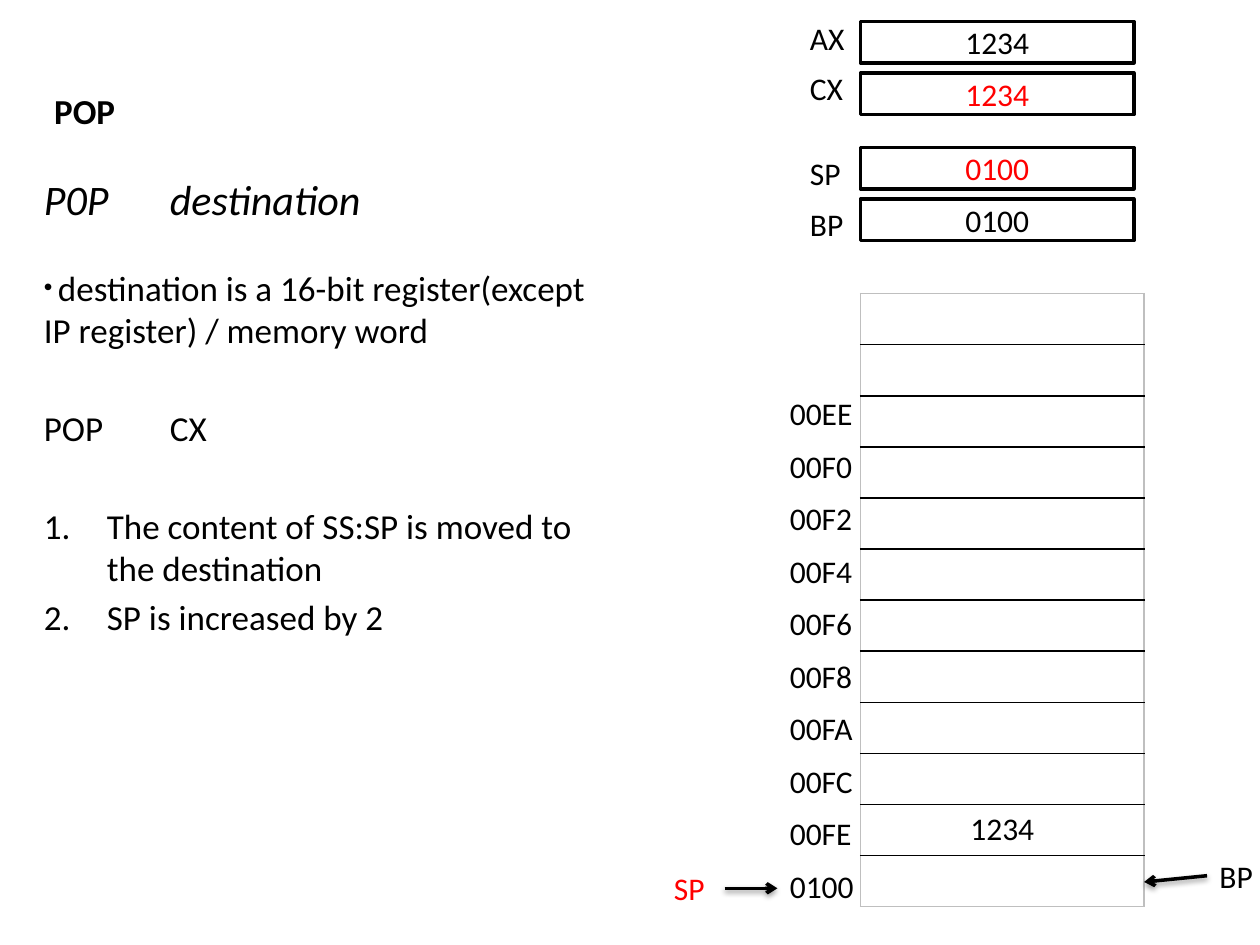
from lxml import etree
from pptx import Presentation
from pptx.dml.color import RGBColor
from pptx.enum.shapes import MSO_CONNECTOR, MSO_SHAPE
from pptx.enum.text import MSO_ANCHOR, PP_ALIGN
from pptx.oxml.ns import qn
from pptx.util import Inches, Pt

BLACK = RGBColor(0, 0, 0)
RED = RGBColor(255, 0, 0)
WHITE = RGBColor(255, 255, 255)
GREY = RGBColor(0xBF, 0xBF, 0xBF)
LEFT, CENTER = PP_ALIGN.LEFT, PP_ALIGN.CENTER
MIDDLE, BOTTOM = MSO_ANCHOR.MIDDLE, MSO_ANCHOR.BOTTOM
RECT, STRAIGHT = MSO_SHAPE.RECTANGLE, MSO_CONNECTOR.STRAIGHT
FONT = "Calibri"

# Content: registers as name, value, value colour, box top, label top
REGISTERS = [
    ("AX", "1234", BLACK, 0.17, 0.10),
    ("CX", "1234", RED, 0.58, 0.50),
    ("SP", "0100", RED, 1.17, 1.17),
    ("BP", "0100", BLACK, 1.58, 1.58),
]
ADDRESSES = ["00EE", "00F0", "00F2", "00F4", "00F6",
             "00F8", "00FA", "00FC", "00FE", "0100"]
STACK = [""] * 10 + ["1234", ""]
# Pointers as name, colour, label left and top, arrow start and end
POINTERS = [
    ("SP", RED, 5.25, 6.85, (5.75, 7.05), (6.17, 7.05)),
    ("BP", BLACK, 9.58, 6.75, (9.58, 6.95), (9.08, 7.0)),
]
# Body paragraphs as text, size, space before, bullet kind
BODY = [
    ("P0P\tdestination", 24, 0, None),
    ("destination is a 16-bit register(except IP register) / memory word",
     20, 24, "dot"),
    ("POP\tCX", 20, 32, None),
    ("The content of SS:SP is moved to the destination", 20, 32, "number"),
    ("SP is increased by 2", 20, 4, "number"),
]
STACK_LEFT, STACK_TOP, STACK_WIDTH, STACK_HEIGHT = 6.83, 2.33, 2.25, 4.87
ADDRESS_TOP, ADDRESS_STEP = 3.08, 3.75 / 9
NAME_WIDTH, ADDRESS_WIDTH = 0.42, 0.75


def style(r, size=18, color=BLACK, bold=False, italic=False):
    r.font.name, r.font.size = FONT, Pt(size)
    r.font.color.rgb = color
    r.font.bold, r.font.italic = bold, italic


def put_text(tf, text, color=BLACK, align=LEFT, **font):
    tf.text = text
    p = tf.paragraphs[0]
    p.alignment = align
    for r in p.runs:
        style(r, color=color, **font)


def add_label(s, text, left, top, color=BLACK, width=NAME_WIDTH):
    tf = s.shapes.add_textbox(
        Inches(left), Inches(top), Inches(width), Inches(0.4)).text_frame
    tf.word_wrap = True
    tf.margin_right = 0
    put_text(tf, text, color)


def add_register(s, name, value, color, top, label_top):
    sp = s.shapes.add_shape(RECT, Inches(STACK_LEFT), Inches(top),
                            Inches(2.17), Inches(0.33))
    sp.shadow.inherit = False
    sp.fill.solid()
    sp.fill.fore_color.rgb = WHITE
    sp.line.color.rgb, sp.line.width = BLACK, Pt(2)
    sp.text_frame.vertical_anchor = MIDDLE
    put_text(sp.text_frame, value, color, CENTER)
    add_label(s, name, 6.33, label_top)


def add_arrow(s, start, end):
    # The theme's soft shadow is kept on the arrows
    line = s.shapes.add_connector(
        STRAIGHT, *[Inches(v) for v in start + end]).line
    line.color.rgb, line.width = BLACK, Pt(2)
    etree.SubElement(line._get_or_add_ln(), qn("a:tailEnd"), type="arrow")


def make_border(side, color):
    ln = etree.Element(qn("a:" + side), w=str(Pt(1)))
    fill = etree.SubElement(ln, qn("a:solidFill"))
    etree.SubElement(fill, qn("a:srgbClr"), val=str(color))
    return ln


def add_stack(s):
    table = s.shapes.add_table(
        len(STACK), 1, Inches(STACK_LEFT), Inches(STACK_TOP),
        Inches(STACK_WIDTH), Inches(STACK_HEIGHT)).table
    table.first_row = table.horz_banding = False
    last = len(STACK) - 1
    for i, value in enumerate(STACK):
        cell = table.cell(i, 0)
        cell.fill.background()
        put_text(cell.text_frame, value, align=CENTER)
        sides = [("lnL", GREY), ("lnR", GREY),
                 ("lnT", BLACK if i else GREY),
                 ("lnB", BLACK if i < last else GREY)]
        for n, (side, color) in enumerate(sides):
            cell._tc.get_or_add_tcPr().insert(n, make_border(side, color))


def add_body(s):
    tf = s.shapes.add_textbox(Inches(0.25), Inches(1.33),
                              Inches(4.75), Inches(5.75)).text_frame
    tf.word_wrap = True
    for i, (text, size, before, bullet) in enumerate(BODY):
        p = tf.add_paragraph() if i else tf.paragraphs[0]
        p.space_before = Pt(before)
        pPr = p._p.get_or_add_pPr()
        if bullet == "dot":
            etree.SubElement(pPr, qn("a:buFont"), typeface="Arial")
            etree.SubElement(pPr, qn("a:buChar"), char="•")
            r = p.add_run()
            r.text = " "
            style(r, 14)
        elif bullet == "number":
            pPr.set("marL", str(Inches(0.5)))
            pPr.set("indent", str(-Inches(0.5)))
            etree.SubElement(pPr, qn("a:buFont"), typeface="+mj-lt")
            etree.SubElement(pPr, qn("a:buAutoNum"), type="arabicPeriod")
        else:
            tabs = etree.SubElement(pPr, qn("a:tabLst"))
            etree.SubElement(tabs, qn("a:tab"), pos=str(Inches(1)), algn="l")
        r = p.add_run()
        r.text = text
        style(r, size, italic=i == 0)


def main():
    prs = Presentation()
    prs.slide_width, prs.slide_height = Inches(10), Inches(7.5)
    s = prs.slides.add_slide(prs.slide_layouts[5])

    # Title and explanation
    title = s.shapes.title
    title.left, title.top = Inches(0.33), Inches(0.42)
    title.width, title.height = Inches(4.33), Inches(0.67)
    title.text_frame.vertical_anchor = BOTTOM
    put_text(title.text_frame, "POP", size=20, bold=True)
    add_body(s)

    # Registers
    for register in REGISTERS:
        add_register(s, *register)

    # Stack memory with addresses and pointers
    add_stack(s)
    for i, address in enumerate(ADDRESSES):
        add_label(s, address, 6.17, ADDRESS_TOP + i * ADDRESS_STEP,
                  width=ADDRESS_WIDTH)
    for name, color, left, top, start, end in POINTERS:
        add_label(s, name, left, top, color)
        add_arrow(s, start, end)

    prs.save("out.pptx")


if __name__ == "__main__":
    main()
